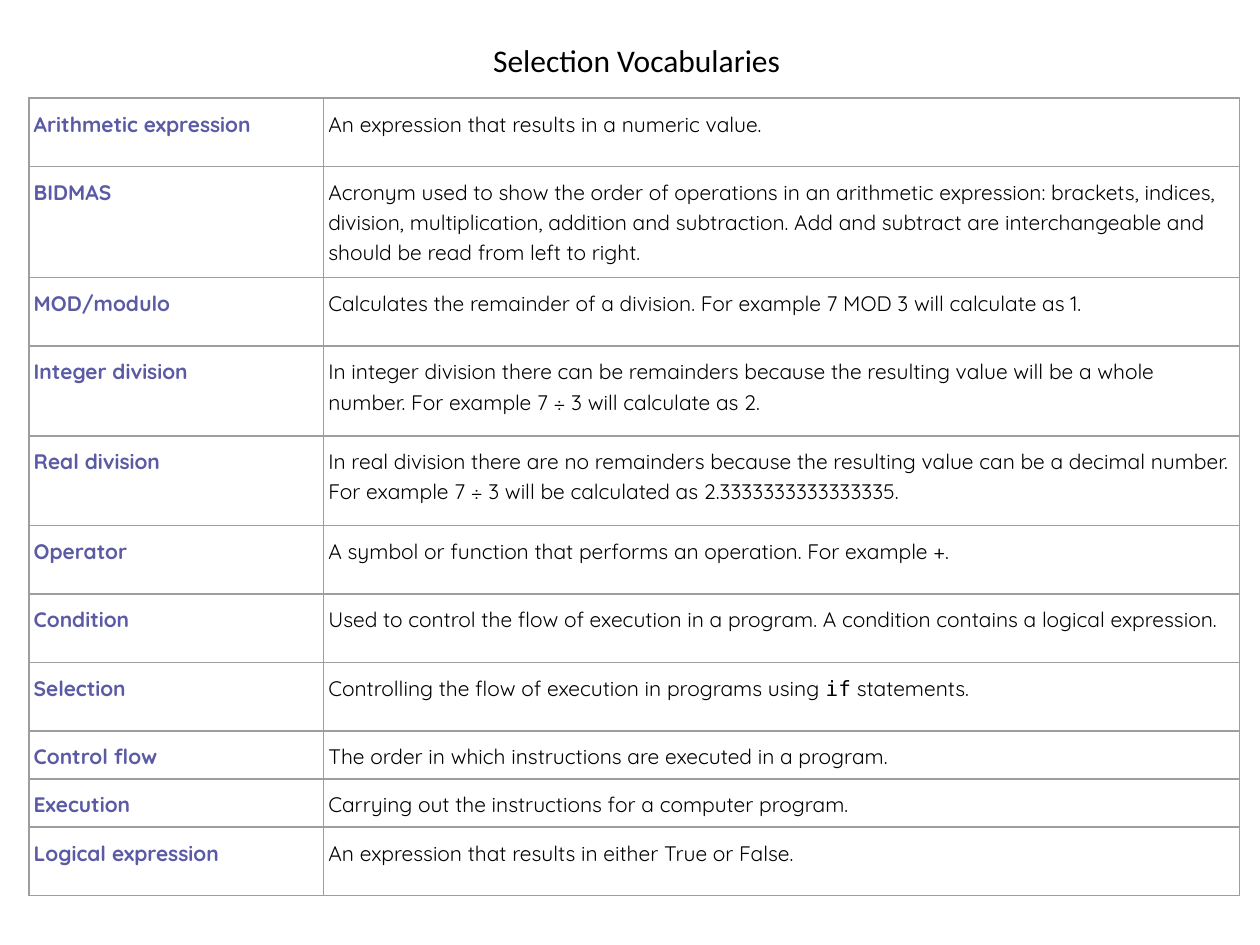
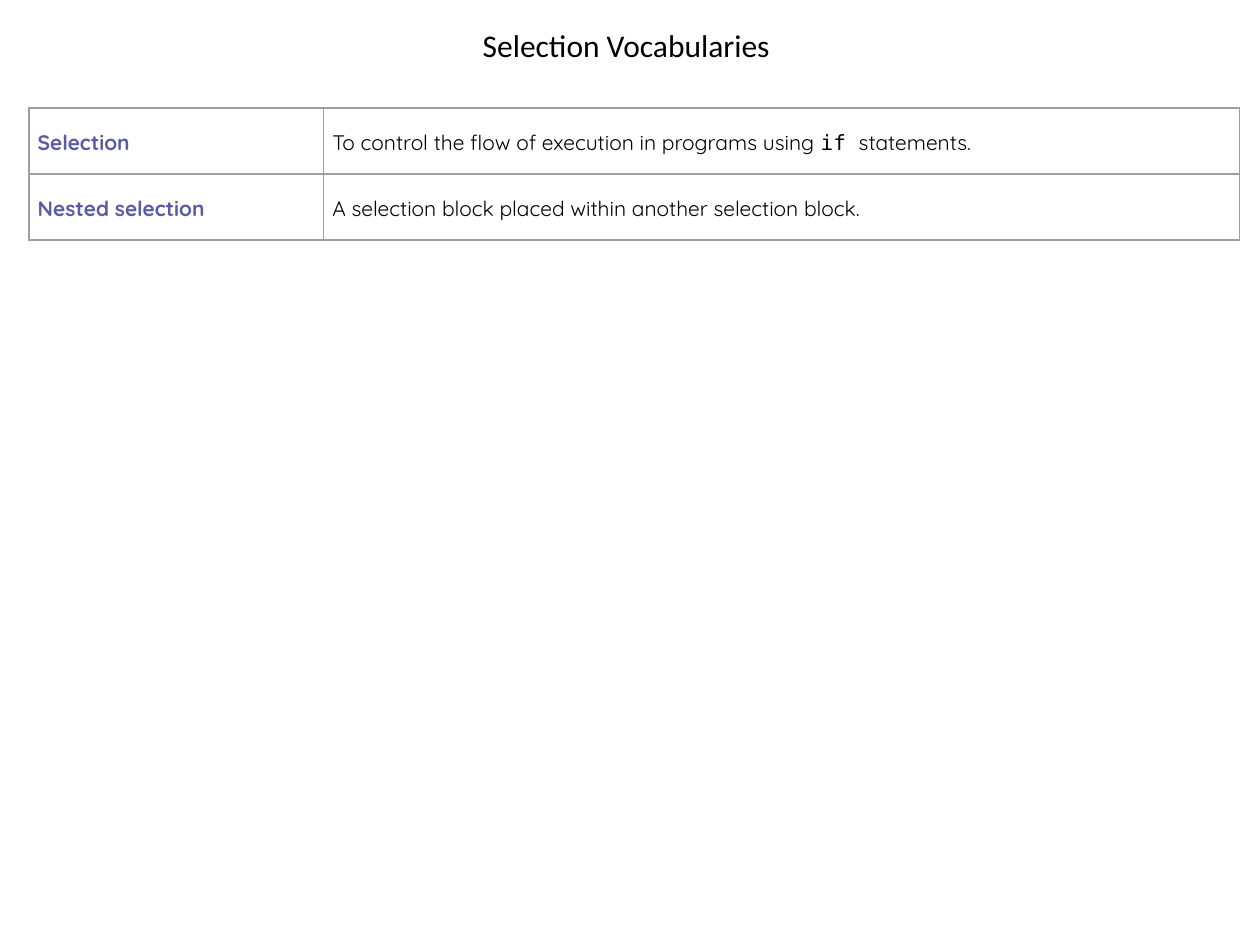
from lxml import etree
from pptx import Presentation, util as u
from pptx.dml import color
from pptx.enum import text
from pptx.oxml import ns

COLOURS = {"term": "5B5BA5", "body": "000000", "grid": "9E9E9E"}
FONTS = {"title": "Calibri", "body": "Quicksand", "code": "DejaVu Sans Mono"}
TITLE = "Selection Vocabularies"
COLUMN_WIDTHS = (5.94, 18.47)
ONE_LINE, TWO_LINES, THREE_LINES, COMPACT = 1.38, 1.81, 2.24, 0.97

# Each row is (height, term, definition); backticks enclose code.
CORE_TERMS = [
    (ONE_LINE, "Arithmetic expression", "An expression that results in a numeric value."),
    (THREE_LINES, "BIDMAS",
     "Acronym used to show the order of operations in an arithmetic expression: "
     "brackets, indices, division, multiplication, addition and subtraction. "
     "Add and subtract are interchangeable and should be read from left to right."),
    (ONE_LINE, "MOD/modulo",
     "Calculates the remainder of a division. For example 7 MOD 3 will calculate as 1."),
    (TWO_LINES, "Integer division",
     "In integer division there can be remainders because the resulting value "
     "will be a whole number. For example 7 ÷ 3 will calculate as 2."),
    (TWO_LINES, "Real division",
     "In real division there are no remainders because the resulting value can be "
     "a decimal number. For example 7 ÷ 3 will be calculated as 2.3333333333333335."),
    (ONE_LINE, "Operator",
     "A symbol or function that performs an operation. For example +."),
    (ONE_LINE, "Condition",
     "Used to control the flow of execution in a program. "
     "A condition contains a logical expression."),
    (ONE_LINE, "Selection",
     "Controlling the flow of execution in programs using `if` statements."),
    (COMPACT, "Control flow", "The order in which instructions are executed in a program."),
    (COMPACT, "Execution", "Carrying out the instructions for a computer program."),
    (ONE_LINE, "Logical expression",
     "An expression that results in either True or False."),
]
NESTED_TERMS = [
    (1.31, "Selection",
     "To control the flow of execution in programs using `if `statements."),
    (1.31, "Nested selection", "A selection block placed within another selection block."),
]


def format_span(span, font, size, colour, bold=False):
    span.font.name = font
    span.font.size = u.Pt(size)
    span.font.bold = bold
    span.font.color.rgb = color.RGBColor.from_string(COLOURS[colour])


def set_margins(target, side, end):
    target.margin_left = target.margin_right = u.Cm(side)
    target.margin_top = target.margin_bottom = u.Cm(end)


def draw_borders(cell):
    properties = cell._tc.get_or_add_tcPr()
    for edge in ("a:lnL", "a:lnR", "a:lnT", "a:lnB"):
        line = etree.SubElement(properties, ns.qn(edge), w=str(u.Pt(1)))
        fill = etree.SubElement(line, ns.qn("a:solidFill"))
        etree.SubElement(fill, ns.qn("a:srgbClr"), val=COLOURS["grid"])


def fill_cell(cell, content, colour, bold, margins):
    draw_borders(cell)
    cell.fill.background()
    cell.vertical_anchor = text.MSO_ANCHOR.TOP
    set_margins(cell, *margins)
    para = cell.text_frame.paragraphs[0]
    para.line_spacing = 1.15
    for index, part in enumerate(content.split("`")):
        span = para.add_run()
        span.text = part
        format_span(span, FONTS["code" if index % 2 else "body"], 12, colour, bold)


def add_title(page, left, top, width, height):
    box = page.shapes.title
    box.left, box.top, box.width, box.height = map(u.Cm, (left, top, width, height))
    frame = box.text_frame
    frame.text = TITLE
    frame.word_wrap = True
    frame.auto_size = text.MSO_AUTO_SIZE.NONE
    frame.vertical_anchor = text.MSO_ANCHOR.MIDDLE
    set_margins(frame, 0.25, 0.25)
    para = frame.paragraphs[0]
    para.alignment = text.PP_ALIGN.CENTER
    format_span(para.runs[0], FONTS["title"], 18, "body")


def add_glossary(page, left, top, entries, margins):
    width = sum(COLUMN_WIDTHS)
    height = sum(entry[0] for entry in entries)
    table = page.shapes.add_table(
        len(entries), 2, *map(u.Cm, (left, top, width, height))).table
    table.first_row = table.horz_banding = False
    for column, column_width in zip(table.columns, COLUMN_WIDTHS):
        column.width = u.Cm(column_width)
    for row, (row_height, term, definition) in zip(table.rows, entries):
        row.height = u.Cm(row_height)
        fill_cell(row.cells[0], term, "term", True, margins)
        fill_cell(row.cells[1], definition, "body", False, margins)


def add_vocabulary_page(deck, title_box, table_top, entries, margins):
    page = deck.slides.add_slide(deck.slide_layouts[5])
    add_title(page, *title_box)
    add_glossary(page, 0.58, table_top, entries, margins)


deck = Presentation()
deck.slide_width, deck.slide_height = u.Cm(25.4), u.Cm(19.05)
add_vocabulary_page(deck, (1, 0.4, 23.67, 1.6), 1.98, CORE_TERMS, (0.1, 0.18))
add_vocabulary_page(deck, (0.79, 0.4, 23.67, 1), 2.18, NESTED_TERMS, (0.18, 0.36))
deck.save("out.pptx")
